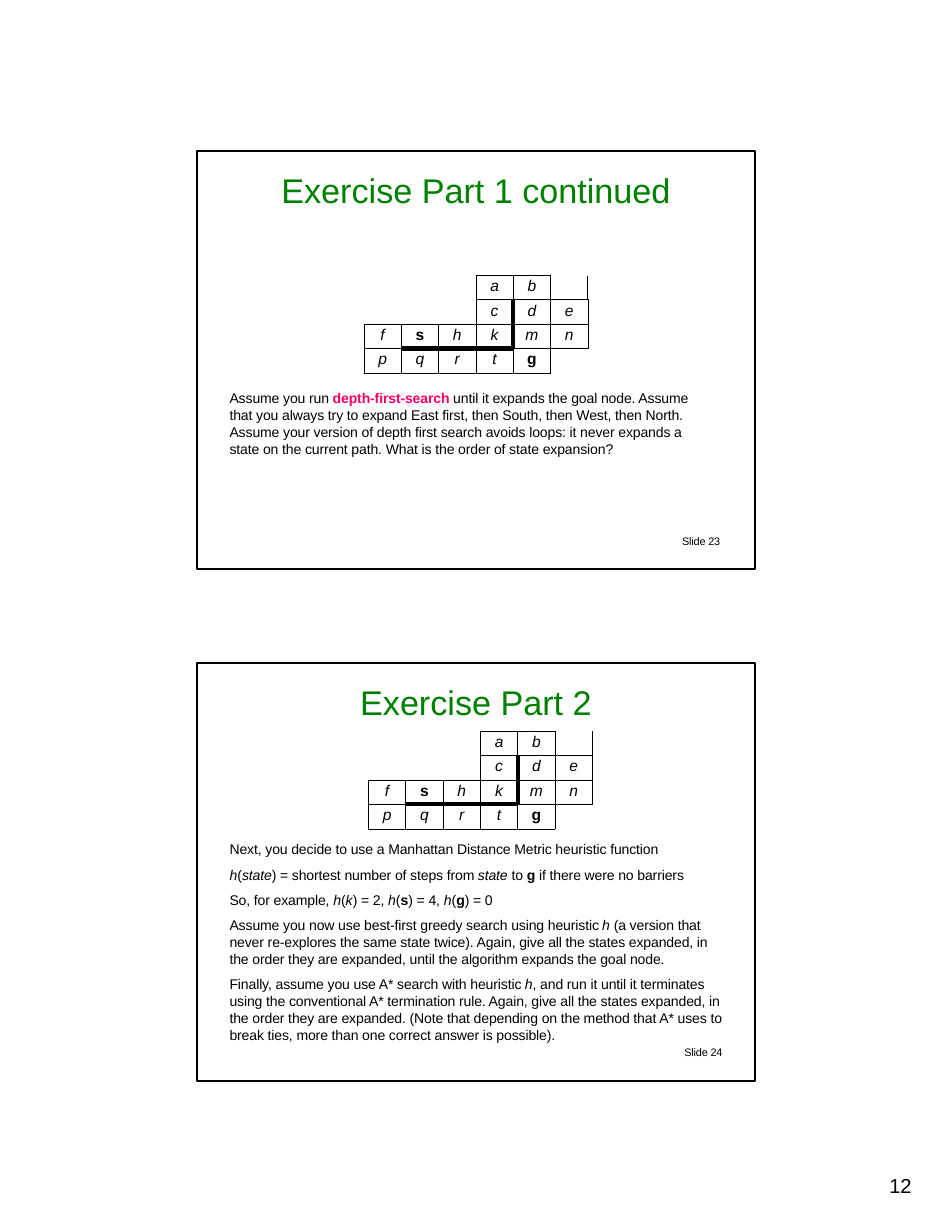
import pptx
import pptx.dml.color
import pptx.enum.shapes
import pptx.enum.text
import pptx.oxml
import pptx.util
from lxml import etree

Inches, Pt = pptx.util.Inches, pptx.util.Pt
ALIGN = pptx.enum.text.PP_ALIGN
COLORS = {"title": "008000", "text": "000000", "accent": "FF0065", "border": "010101"}
FONT = "Arial"
TIGHT = "-8"  # letter spacing in hundredths of a point
NO_STYLE = "{2D5ABB26-0587-4C30-8999-92F81FD0307C}"


def italic(text):
    return (text, "italic")


def bold(text):
    return (text, "bold")


def accent(text):
    return (text, "accent")


# Content: a paragraph is (runs, space before, line spacing)
MAZE = ["   ab ", "   cde", "fshkmn", "pqrtg "]
WALLS = [{"c", "d"}, {"k", "m"}, {"s", "q"}, {"h", "r"}, {"k", "t"}]
BOLD_STATES = "sg"
PANELS = [
    {"top": 1.35, "title": "Exercise Part 1 continued", "maze": (3.25, 2.46),
     "body": (3.47, 4.24, 0.63), "label": (6.08, "Slide 23"),
     "paragraphs": [
         (["Assume you run ", accent("depth-first-search "),
           "until it expands the goal node. Assume that you always try to expand East first, "
           "then South, then West, then North. Assume your version of depth first search avoids "
           "loops: it never expands a state on the current path. What is the order of state "
           "expansion?"], 1, 1.0)]},
    {"top": 5.92, "title": "Exercise Part 2", "maze": (3.29, 6.53),
     "body": (7.42, 4.4, 1.9), "label": (6.1, "Slide 24"),
     "paragraphs": [
         (["Next, you decide to use a Manhattan Distance Metric heuristic function"], 1, 1.51),
         ([italic("h"), "(", italic("state"), ") = shortest number of steps from ",
           italic("state "), "to ", bold("g "), "if there were no barriers"], 0, 1.51),
         (["So, for example, ", italic("h"), "(", italic("k"), ") = 2, ", italic("h"), "(",
           bold("s"), ") = 4, ", italic("h"), "(", bold("g"), ") = 0"], 0, 1.51),
         (["Assume you now use best-first greedy search using heuristic ", italic("h "),
           "(a version that never re-explores the same state twice). Again, give all the states "
           "expanded, in the order they are expanded, until the algorithm expands the goal "
           "node."], 5.5, 1.0),
         (["Finally, assume you use A* search with heuristic ", italic("h"),
           ", and run it until it terminates using the conventional A* termination rule. Again, "
           "give all the states expanded, in the order they are expanded. (Note that depending on "
           "the method that A* uses to break ties, more than one correct answer is possible)."],
          5.5, 1.0)]},
]
PAGE_NUMBER = "12"
FRAME_LEFT, FRAME_WIDTH, FRAME_HEIGHT = 1.76, 4.98, 3.73
MAZE_WIDTH, MAZE_HEIGHT = 2.0, 0.87

deck = pptx.Presentation()
deck.slide_width, deck.slide_height = Inches(8.5), Inches(11)
slide = deck.slides.add_slide(deck.slide_layouts[6])


def rgb(name):
    return pptx.dml.color.RGBColor.from_string(COLORS[name])


def style(font, size, color="text"):
    font.name, font.size, font.color.rgb = FONT, Pt(size), rgb(color)


def add_text(left, top, width, height, paragraphs, size, color="text", align=ALIGN.LEFT,
             spacing="0"):
    box = slide.shapes.add_textbox(Inches(left), Inches(top), Inches(width), Inches(height))
    frame = box.text_frame
    frame.word_wrap = True
    frame.margin_left = frame.margin_right = frame.margin_bottom = 0
    frame.margin_top = Inches(0.01)
    for index, (runs, before, line_spacing) in enumerate(paragraphs):
        paragraph = frame.add_paragraph() if index else frame.paragraphs[0]
        paragraph.alignment = align
        paragraph.space_before, paragraph.line_spacing = Pt(before), line_spacing
        style(paragraph.font, size, color)
        for part in runs:
            text, kind = part if isinstance(part, tuple) else (part, "plain")
            run = paragraph.add_run()
            run.text = text
            run.font.size = Pt(size)
            run.font._element.set("spc", spacing)
            if kind == "italic":
                run.font.italic = True
            elif kind != "plain":
                run.font.bold = True
            if kind == "accent":
                run.font.color.rgb = rgb("accent")


def state_at(row, column):
    if 0 <= row < len(MAZE) and 0 <= column < len(MAZE[0]):
        return MAZE[row][column]
    return None


def add_border(cell, side, width):
    line = etree.SubElement(cell._tc.get_or_add_tcPr(), pptx.oxml.ns.qn("a:" + side),
                            w=str(Pt(width)))
    fill = etree.SubElement(line, pptx.oxml.ns.qn("a:solidFill"))
    etree.SubElement(fill, pptx.oxml.ns.qn("a:srgbClr"), val=COLORS["border"])


def add_maze(left, top):
    rows, columns = len(MAZE), len(MAZE[0])
    table = slide.shapes.add_table(rows, columns, Inches(left), Inches(top),
                                   Inches(MAZE_WIDTH), Inches(MAZE_HEIGHT)).table
    table.first_row = table.horz_banding = False
    table._tbl.tblPr.find(pptx.oxml.ns.qn("a:tableStyleId")).text = NO_STYLE
    table.cell(0, 0).merge(table.cell(1, 2))
    for row in range(rows):
        for column in range(columns):
            cell, state = table.cell(row, column), MAZE[row][column]
            cell.margin_left = cell.margin_right = cell.margin_bottom = 0
            cell.margin_top = Inches(0.02)
            paragraph = cell.text_frame.paragraphs[0]
            paragraph.text = state.strip()
            paragraph.alignment, paragraph.space_before = ALIGN.CENTER, Pt(1.5)
            style(paragraph.font, 10)
            paragraph.font.bold = state in BOLD_STATES
            paragraph.font.italic = state not in BOLD_STATES
            # Both cells along an edge carry the same line
            for side, down, right in [("lnL", 0, -1), ("lnR", 0, 1), ("lnT", -1, 0), ("lnB", 1, 0)]:
                neighbour = state_at(row + down, column + right)
                if {state, neighbour} in WALLS:
                    add_border(cell, side, 3)
                elif {state, neighbour} - {" ", None}:
                    add_border(cell, side, 0.25 if neighbour is None else 0.5)
            cell.fill.background()


# Two framed panels
for panel in PANELS:
    top = panel["top"]
    add_text(FRAME_LEFT, top + 0.15, FRAME_WIDTH, 0.4, [([panel["title"]], 1, 1.0)], 22, "title",
             ALIGN.CENTER)
    add_maze(*panel["maze"])
    body_top, body_width, body_height = panel["body"]
    add_text(2.05, body_top, body_width, body_height, panel["paragraphs"], 9, spacing=TIGHT)
    label_left, label = panel["label"]
    add_text(label_left + 0.01, top + 3.41, 0.5, 0.15, [([label], 1, 1.0)], 7, spacing=TIGHT)
    frame = slide.shapes.add_shape(pptx.enum.shapes.MSO_SHAPE.RECTANGLE, Inches(FRAME_LEFT),
                                   Inches(top), Inches(FRAME_WIDTH), Inches(FRAME_HEIGHT))
    frame.shadow.inherit = False
    frame.fill.background()
    frame.line.color.rgb, frame.line.width = rgb("text"), Pt(1.02)

# Page number
add_text(7.94, 10.47, 0.3, 0.23, [([PAGE_NUMBER], 0, 1.0)], 13)

deck.save("out.pptx")
